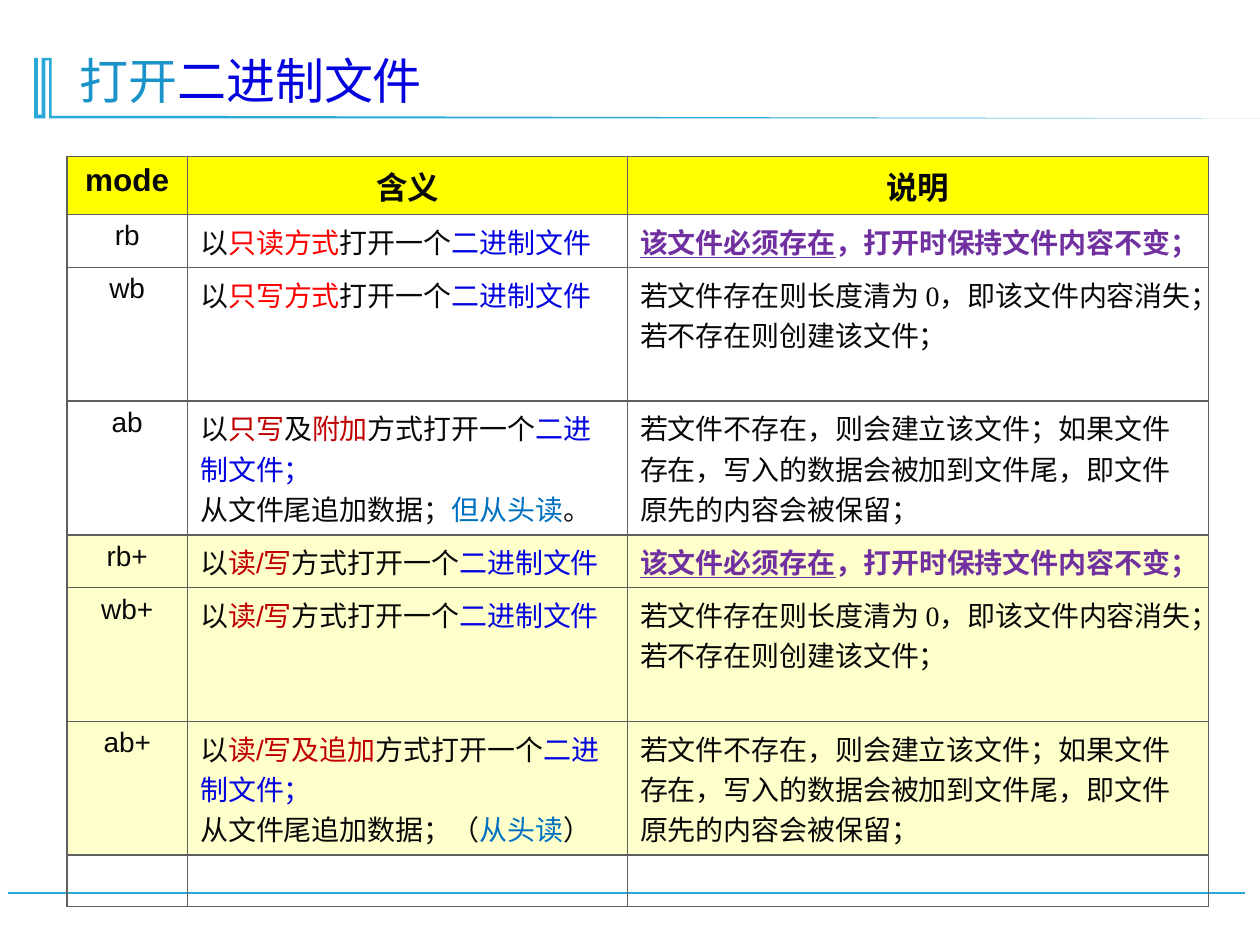
from lxml import etree
from pptx import Presentation
from pptx.dml.color import RGBColor
from pptx.enum import text
from pptx.oxml import ns
from pptx.util import Inches, Pt

INK, BLUE, RED, DARK_RED = "080808", "0303DF", "FF0000", "C00000"
SKY, PURPLE, TEAL = "0070C0", "7030A0", "28A9D6"
YELLOW, CREAM, BORDER = "FFFF00", "FFFFCC", "5F5F5F"
CJK, SERIF = "Noto Sans CJK SC", "Times New Roman"


def add_text(paragraph, words, color=INK, size=16, font="Arial", bold=False, underline=False):
    run = paragraph.add_run()
    run.text = words
    run.font.size = Pt(size)
    run.font.name = font
    run.font.bold = bold
    run.font.underline = underline
    run.font.color.rgb = RGBColor.from_string(color)
    etree.SubElement(run.font._element, ns.qn("a:ea"), typeface=CJK)


def add_borders(cell, color):
    properties = cell._tc.get_or_add_tcPr()
    for position, side in enumerate(("lnL", "lnR", "lnT", "lnB")):
        line = etree.Element(ns.qn("a:" + side), w=str(Pt(1)))
        fill = etree.SubElement(line, ns.qn("a:solidFill"))
        etree.SubElement(fill, ns.qn("a:srgbClr"), val=color)
        properties.insert(position, line)


presentation = Presentation()
presentation.slide_width, presentation.slide_height = Inches(10), Inches(7.5)
slide = presentation.slides.add_slide(presentation.slide_layouts[5])

# Footer line
footer = slide.shapes.add_connector(1, Inches(9.88), Inches(7.09), Inches(0.06), Inches(7.09))
footer.line.color.rgb = RGBColor.from_string(TEAL)
footer.line.width = Pt(1.25)
etree.SubElement(footer._element.spPr, ns.qn("a:effectLst"))

# Title ornament, in hundredths of an inch
outline = [(41, 92), (140, 92), (1009, 94), (39, 94), (39, 48), (36, 48), (36, 94),
           (27, 94), (27, 46), (30, 46), (30, 91), (33, 91), (33, 46)]
builder = slide.shapes.build_freeform(41, 46, scale=Inches(0.01))
builder.add_line_segments(outline, close=True)
ornament = builder.convert_to_shape()
ornament.shadow.inherit = False
ornament.fill.solid()
ornament.fill.fore_color.rgb = RGBColor.from_string(TEAL)
ornament.line.fill.background()

# Title
title = slide.shapes.title
title.left, title.top, title.width, title.height = map(Inches, (0.53, 0.28, 8.85, 0.64))
title.text_frame.auto_size = text.MSO_AUTO_SIZE.NONE
title.text_frame.vertical_anchor = text.MSO_ANCHOR.BOTTOM
paragraph = title.text_frame.paragraphs[0]
paragraph.alignment = text.PP_ALIGN.LEFT
paragraph.line_spacing = 0.9
add_text(paragraph, "打开", color="1A93C8", size=28, font=SERIF)
add_text(paragraph, "二进制文件", color=BLUE, size=28, font=SERIF)

# Table content: a cell is a list of paragraphs, a paragraph a list of (words, format)
red, dark_red, blue, sky = ({"color": c} for c in (RED, DARK_RED, BLUE, SKY))
serif, cjk = {"font": SERIF}, {"font": CJK}
sky_cjk = {**sky, **cjk}
purple = {"color": PURPLE, "bold": True}
must_exist = [[("该文件必须存在", {**purple, "underline": True}),
               ("，打开时保持文件内容不变；", purple)]]
truncated = [[("若文件存在则长度清为 0，即该文件内容消失；", serif)],
             [("若不存在则创建该文件；", serif)]]
kept = [[("若文件不存在，则会建立该文件；如果文件存在，写入的数据会被加到文件尾，"
          "即文件原先的内容会被保留；", serif)]]
read_write = [[("以", {}), ("读/写", dark_red), ("方式打开一个", {}), ("二进制文件", blue)]]
rows = [
    ("rb", [[("以", {}), ("只读方式", red), ("打开一个", {}), ("二进制文件", blue)]], must_exist),
    ("wb", [[("以", {}), ("只写方式", red), ("打开一个", {}), ("二进制文件", blue)]], truncated),
    ("ab", [[("以", {}), ("只写", dark_red), ("及", serif), ("附加", dark_red),
             ("方式打开一个", {}), ("二进制文件；", blue)],
            [("从文件尾追加数据；", cjk), ("但从头读", sky_cjk), ("。", cjk)]], kept),
    ("rb+", read_write, must_exist),
    ("wb+", read_write, truncated),
    ("ab+", [[("以", {}), ("读/写及追加", dark_red), ("方式打开一个", {}), ("二进制文件；", blue)],
             [("从文件尾追加数据；（", cjk), ("从头读", sky_cjk), ("）", cjk)]], kept),
]
heading = {"size": 18, "bold": True}
grid = [[[[(words, heading)]] for words in ("mode", "含义", "说明")]]
grid += [[[[(mode, {})]], meaning, note] for mode, meaning, note in rows]
grid.append([[], [], []])
fills = [YELLOW] + [None] * 3 + [CREAM] * 3 + [None]

# Table
row_height = 0.41
table = slide.shapes.add_table(len(grid), 3, Inches(0.53), Inches(1.24), Inches(9.06),
                               Inches(row_height * len(grid))).table
table.first_row = table.horz_banding = False
for column, width in zip(table.columns, (0.96, 3.49, 4.61)):
    column.width = Inches(width)
for row_index, (cells, fill) in enumerate(zip(grid, fills)):
    table.rows[row_index].height = Inches(row_height)
    for column_index, paragraphs in enumerate(cells):
        cell = table.cell(row_index, column_index)
        if fill:
            cell.fill.solid()
            cell.fill.fore_color.rgb = RGBColor.from_string(fill)
        else:
            cell.fill.background()
        add_borders(cell, BORDER)
        for index, runs in enumerate(paragraphs):
            frame = cell.text_frame
            paragraph = frame.add_paragraph() if index else frame.paragraphs[0]
            if row_index == 0 or column_index == 0:
                paragraph.alignment = text.PP_ALIGN.CENTER
            for words, style in runs:
                add_text(paragraph, words, **style)

presentation.save("out.pptx")
